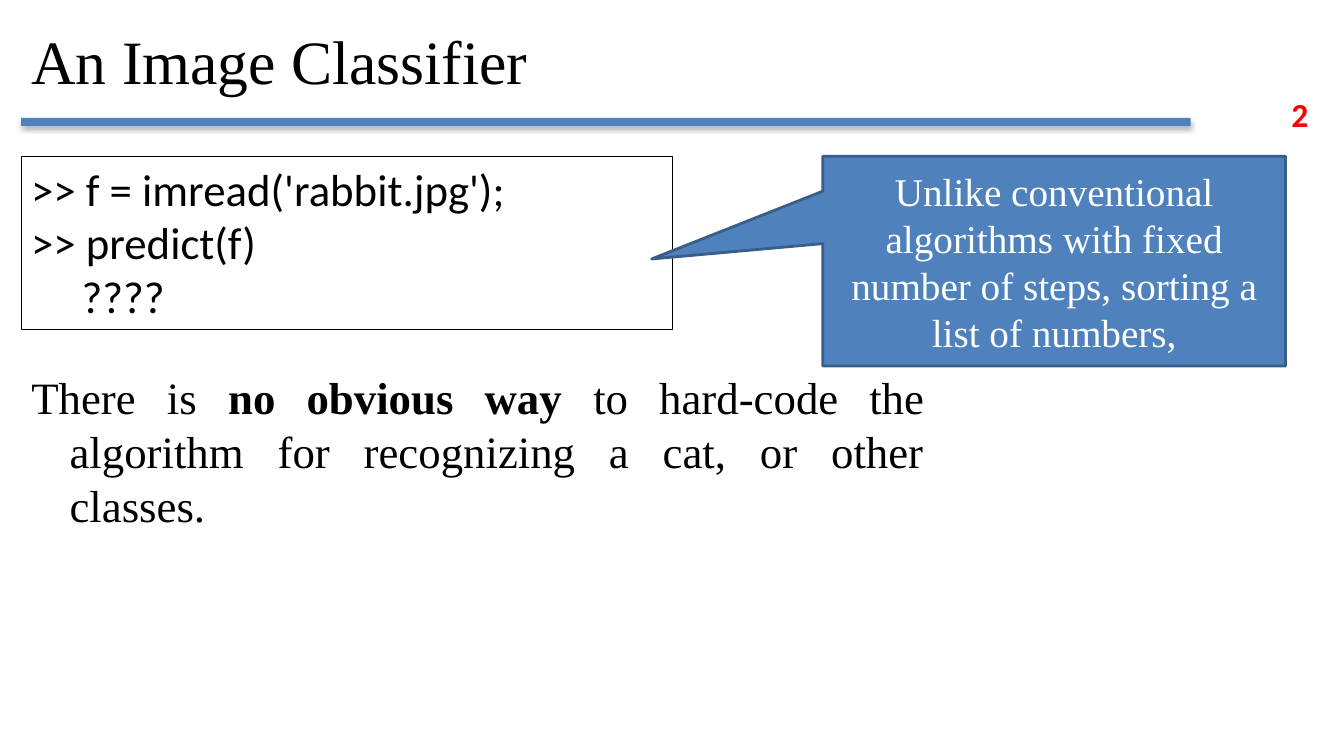
from lxml.etree import SubElement
from pptx import Presentation
from pptx.dml.color import RGBColor
from pptx.enum.shapes import MSO_SHAPE
from pptx.enum.text import MSO_ANCHOR, MSO_AUTO_SIZE, PP_ALIGN
from pptx.oxml.ns import qn
from pptx.util import Inches, Pt

WIDTH, HEIGHT = Inches(13.33), Inches(7.5)
LEFT = 1.58  # shared left margin, percent of the slide's width
PANEL_TOP = 20.67  # shared top of code and callout, percent of the height
SERIF, SANS = "Times New Roman", "Calibri"
COLORS = {"accent": "4F81BD", "edge": "395E89", "text": "000000",
          "number": "FF0000", "light": "FFFFFF"}


def color(name):
    return RGBColor.from_string(COLORS[name])


def area(left, top, width, height):
    """Turn percentages of the slide's size into lengths."""
    return (int(WIDTH * left / 100), int(HEIGHT * top / 100),
            int(WIDTH * width / 100), int(HEIGHT * height / 100))


def place(shape, box):
    shape.left, shape.top, shape.width, shape.height = area(*box)


def write(shape, paragraphs, size, font=SERIF, ink="text", bold=False,
          align=PP_ALIGN.LEFT, anchor=MSO_ANCHOR.TOP, hanging=None):
    """Fill a shape; each paragraph is a list of (text, is_bold) runs or a string."""
    frame = shape.text_frame
    frame.word_wrap = True
    frame.auto_size = MSO_AUTO_SIZE.NONE
    frame.vertical_anchor = anchor
    for index, content in enumerate(paragraphs):
        paragraph = frame.paragraphs[0] if index == 0 else frame.add_paragraph()
        paragraph.alignment = align
        paragraph.space_before = Pt(0)
        if hanging:
            properties = paragraph._p.get_or_add_pPr()
            properties.set("marL", str(hanging))
            properties.set("indent", str(-hanging))
            SubElement(properties, qn("a:buNone"))
        runs = [(content, bold)] if isinstance(content, str) else content
        for text, is_bold in runs:
            run = paragraph.add_run()
            run.text = text
            run.font.size = Pt(size)
            run.font.name = font
            run.font.bold = is_bold
            run.font.color.rgb = color(ink)


def add_panel(slide, kind, box, fill=None, line=None, line_width=0.75):
    shape = slide.shapes.add_shape(kind, *area(*box))
    shape.shadow.inherit = False
    if fill:
        shape.fill.solid()
        shape.fill.fore_color.rgb = color(fill)
    else:
        shape.fill.background()
    if line:
        shape.line.color.rgb = color(line)
        shape.line.width = Pt(line_width)
    else:
        shape.line.fill.background()
    return shape


def cast_shadow(shape):
    """Add a soft shadow straight below the shape."""
    effects = shape._element.spPr.find(qn("a:effectLst"))
    shadow = SubElement(effects, qn("a:outerShdw"), blurRad=str(Pt(3.5)),
                        dist=str(Pt(2.2)), dir="5400000", rotWithShape="0")
    tint = SubElement(shadow, qn("a:srgbClr"), val=COLORS["text"])
    SubElement(tint, qn("a:alpha"), val="32000")


def main():
    presentation = Presentation()
    presentation.slide_width, presentation.slide_height = WIDTH, HEIGHT
    slide = presentation.slides.add_slide(presentation.slide_layouts[1])

    rule = add_panel(slide, MSO_SHAPE.RECTANGLE, (LEFT, 15.6, 87.02, 1.07), fill="accent")
    cast_shadow(rule)
    number = slide.shapes.add_textbox(*area(95.35, 11.73, 4.43, 6.67))
    write(number, ["2"], 24, font=SANS, ink="number", bold=True)

    title = slide.shapes.title
    place(title, (LEFT, 1.07, 82.07, 13.6))
    write(title, ["An Image Classifier"], 44, anchor=MSO_ANCHOR.MIDDLE)

    body = slide.placeholders[1]
    place(body, (LEFT, 48.27, 67.97, 31.07))
    statement = [("There is ", False), ("no obvious way", True),
                 (" to hard-code the algorithm for recognizing a cat, or other classes.", False)]
    write(body, [statement], 32, align=PP_ALIGN.JUSTIFY, hanging=Inches(0.38))

    code = add_panel(slide, MSO_SHAPE.RECTANGLE, (LEFT, PANEL_TOP, 48.46, 22.93), line="text")
    write(code, [">> f = imread('rabbit.jpg');", ">> predict(f)", "\t????"], 32, font=SANS)

    callout = add_panel(slide, MSO_SHAPE.RECTANGULAR_CALLOUT, (61.22, PANEL_TOP, 34.43, 27.73),
                        fill="accent", line="edge", line_width=2)
    callout.adjustments[0], callout.adjustments[1] = -0.87, -0.01
    write(callout, ["Unlike conventional algorithms with fixed number of steps, "
                    "sorting a list of numbers,"],
          28, ink="light", align=PP_ALIGN.CENTER, anchor=MSO_ANCHOR.MIDDLE)

    presentation.save("out.pptx")


if __name__ == "__main__":
    main()
